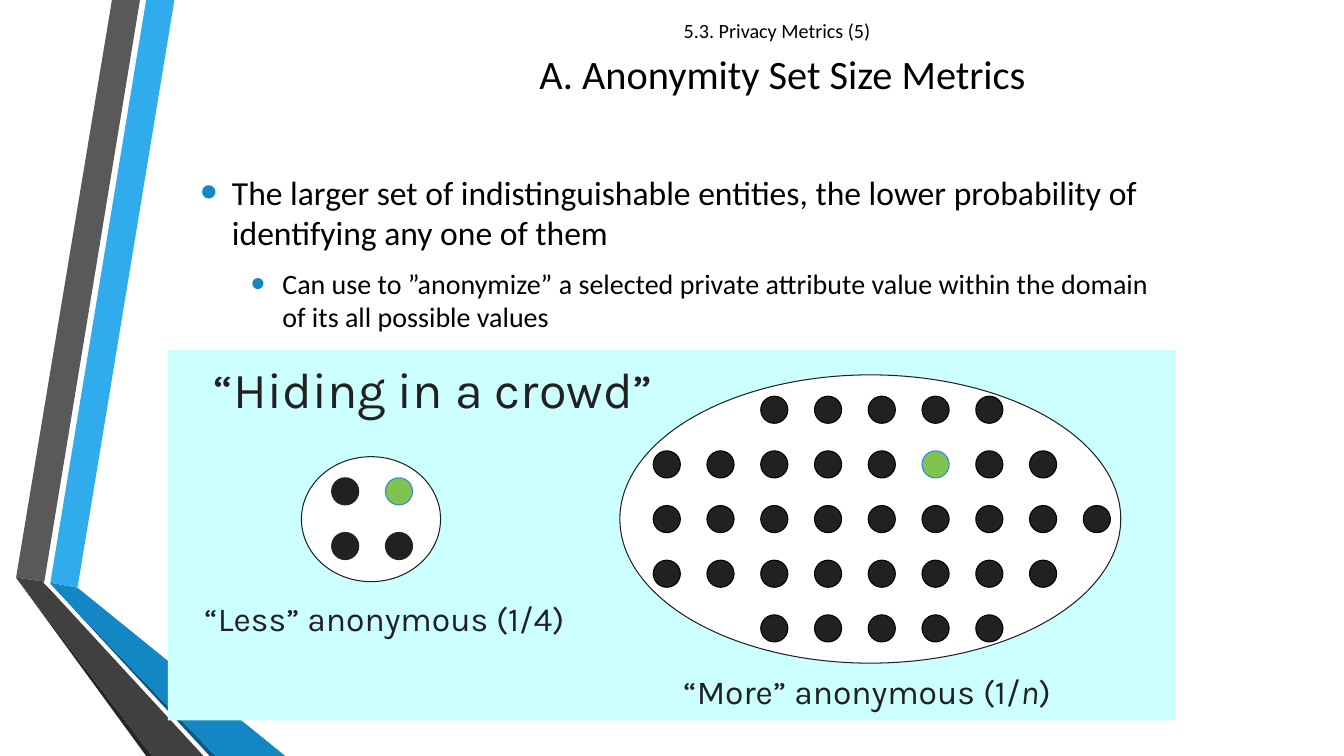
from lxml import etree
from pptx import Presentation
from pptx.dml.color import RGBColor
from pptx.enum.shapes import MSO_SHAPE
from pptx.enum.text import MSO_ANCHOR, MSO_AUTO_SIZE, PP_ALIGN
from pptx.oxml.ns import qn
from pptx.util import Pt

OVAL, RECT = MSO_SHAPE.OVAL, MSO_SHAPE.RECTANGLE
MIDDLE, CENTER, NO_FIT = MSO_ANCHOR.MIDDLE, PP_ALIGN.CENTER, MSO_AUTO_SIZE.NONE
BLACK, INK, WHITE = "000000", "212121", "FFFFFF"
GREEN, BLUE = "80C34F", "3085ED"
DOT, STEP_X, STEP_Y = 19.4, 38.4, 39.05


def style(sp, fill, line=None):
    sp.shadow.inherit = False
    sp.fill.solid()
    sp.fill.fore_color.rgb = RGBColor.from_string(fill)
    if line:
        sp.line.color.rgb = RGBColor.from_string(line)
        sp.line.width = Pt(0.75)
    else:
        sp.line.fill.background()


def add_run(p, text, size, font, color, italic=False):
    r = p.add_run()
    r.text = text
    r.font.size = Pt(size)
    r.font.name = font
    r.font.italic = italic
    r.font.color.rgb = RGBColor.from_string(color)


prs = Presentation()
prs.slide_width, prs.slide_height = Pt(960), Pt(540)
s = prs.slides.add_slide(prs.slide_layouts[5])

ribbons = [
    ("30ACEC", [(36, 416.2), (55.4, 419.8), (124.6, 0), (104.4, 0)]),
    ("595959", [(100, 0), (80, 0), (11.5, 412.6), (31.7, 415.4)]),
    ("262626", [(11.5, 412.6), (104.4, 540), (108.7, 540)]),
    ("0C5A82", [(36, 416.9), (149.8, 540), (154.1, 540)]),
    ("1287C3", [(36, 416.9), (154.1, 540), (203.8, 540), (55.4, 419.8), (36, 416.2)]),
    ("404040", [(145.4, 540), (34.6, 419.8), (31, 416.2), (31.7, 415.4),
                (11.5, 412.6), (108.7, 540)]),
]
for color, points in ribbons:
    corners = [(Pt(x), Pt(y)) for x, y in points]
    outline = s.shapes.build_freeform(*corners[0])
    outline.add_line_segments(corners[1:], close=True)
    style(outline.convert_to_shape(), color)

panel = s.shapes.add_shape(RECT, Pt(120), Pt(250), Pt(720), Pt(264.6))
style(panel, "CCFFFF")

title = s.shapes.title
title.left, title.top, title.width, title.height = Pt(211), Pt(0), Pt(696.2), Pt(61.2)
tf = title.text_frame
tf.word_wrap = True
tf.auto_size = NO_FIT
tf.vertical_anchor = MIDDLE
p = tf.paragraphs[0]
p.alignment = CENTER
add_run(p, "5.3. Privacy Metrics (5)", 14.4, "Calibri", BLACK)
add_run(p, " ", 36, "Calibri", BLACK)
p.add_line_break()
etree.SubElement(p._p.find(qn("a:br")), qn("a:rPr"), sz="3600")
add_run(p, "A. Anonymity Set Size Metrics", 28.8, "Calibri", BLACK)

body = s.shapes.add_textbox(Pt(136.1), Pt(107.3), Pt(696.2), Pt(146.2))
tf = body.text_frame
tf.word_wrap = True
tf.vertical_anchor = MIDDLE
bullets = [
    ("The larger set of indistinguishable entities, the lower probability of "
     "identifying any one of them", 24, 22.5, 0),
    ("Can use to ”anonymize” a selected private attribute value within the domain "
     "of its all possible values", 20, 58.5, 4),
]
for level, (text, size, indent, before) in enumerate(bullets):
    p = tf.add_paragraph() if level else tf.paragraphs[0]
    p.level = level
    p.space_before, p.space_after = Pt(before), Pt(6)
    pPr = p._p.get_or_add_pPr()
    pPr.set("marL", str(Pt(indent)))
    pPr.set("indent", str(Pt(-22.5)))
    color = etree.SubElement(pPr, qn("a:buClr"))
    etree.SubElement(color, qn("a:srgbClr"), val="1287C3")
    etree.SubElement(pPr, qn("a:buSzPct"), val="145000")
    etree.SubElement(pPr, qn("a:buFont"), typeface="Arial")
    etree.SubElement(pPr, qn("a:buChar"), char="•")
    add_run(p, text, size, "Calibri", BLACK)

crowds = [
    ((442.8, 267.8, 357.8, 205.9), (466.6, 283), BLACK, (1, 5),
     [range(2, 7), range(8), range(9), range(8), range(2, 7)]),
    ((215.3, 326.2, 99.4, 89.3), (236.9, 341.3), INK, (0, 1), [range(2), range(2)]),
]
for frame, (left, top), edge, chosen, rows in crowds:
    crowd = s.shapes.add_shape(OVAL, *map(Pt, frame))
    style(crowd, WHITE, INK)
    for row, cols in enumerate(rows):
        for col in cols:
            dot = s.shapes.add_shape(OVAL, Pt(left + col * STEP_X), Pt(top + row * STEP_Y),
                                     Pt(DOT), Pt(DOT))
            if (row, col) == chosen:
                style(dot, GREEN, BLUE)
            else:
                style(dot, INK, edge)

captions = [
    ((145.4, 252, 355, 50.4), 36, [("“Hiding in a crowd”", False)]),
    ((481, 475.9, 334.8, 36), 24,
     [("“More” anonymous (1/", False), ("n", True), (")", False)]),
    ((139, 423.4, 309.6, 36), 24, [("“Less” anonymous (1/4)", False)]),
]
for frame, size, runs in captions:
    caption = s.shapes.add_textbox(*map(Pt, frame))
    tf = caption.text_frame
    tf.word_wrap = True
    for text, italic in runs:
        add_run(tf.paragraphs[0], text, size, "Karla", INK, italic)

prs.save("out.pptx")
